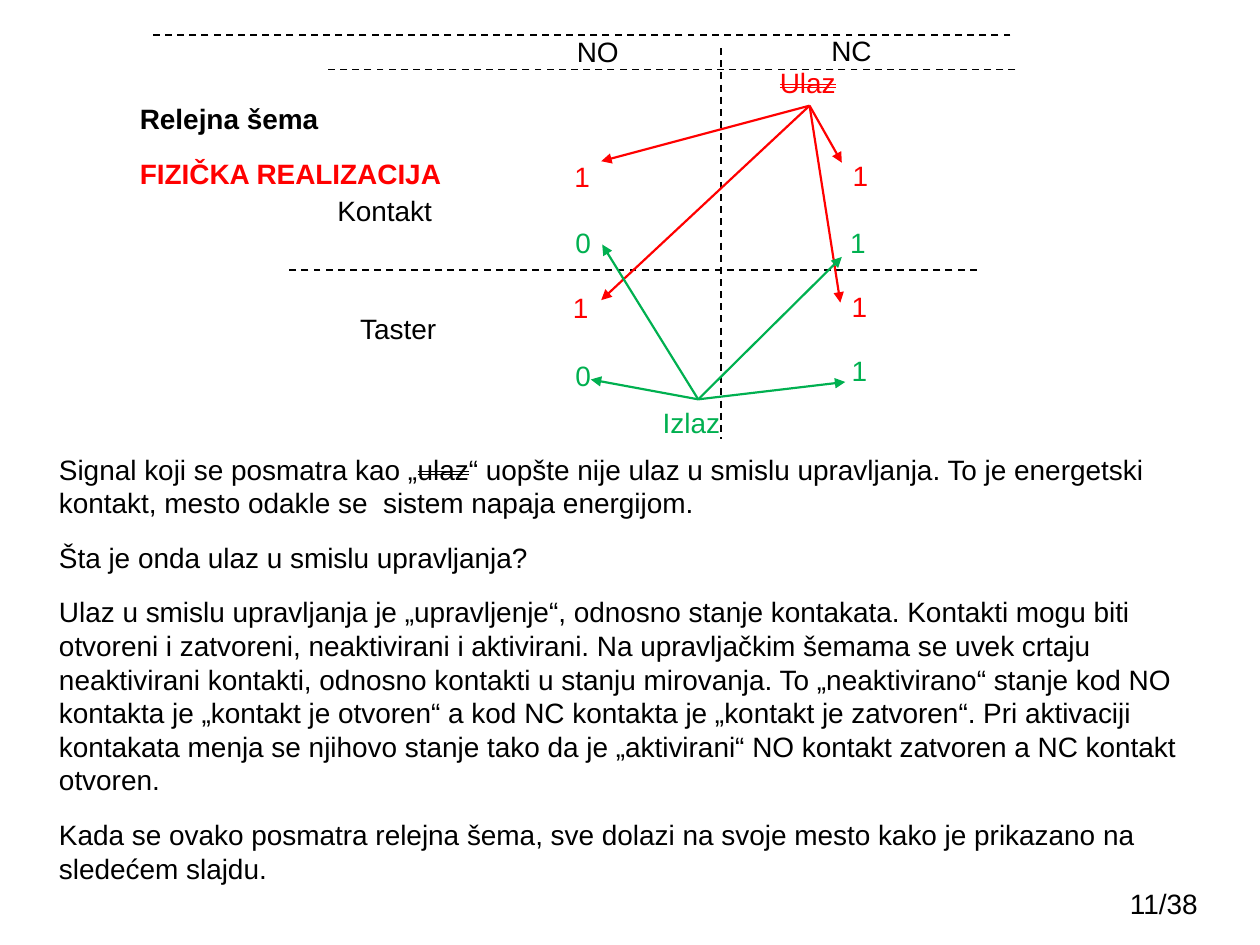
"""Build the slide on relay contacts, their inputs and their outputs."""
from lxml import etree
from pptx import Presentation
from pptx import util as u
from pptx.dml.color import RGBColor
from pptx.enum import dml, shapes, text
from pptx.oxml.ns import qn

THEME = {
    "font": "Arial", "size": 16, "gap": 6, "rule": 1, "arrow": 1.25,
    "black": "000000", "red": "FF0000", "green": "00B050",
}
LABEL_HEIGHT = 0.94
PLAIN, BOLD, STRUCK = {}, {"bold": True}, {"strike": True}

HEADINGS = [
    [("Relejna šema", "black", BOLD)],
    [("FIZIČKA REALIZACIJA", "red", BOLD)],
]
LABELS = [
    ("NO", 11.38, 0.58, 1.37),
    ("NC", 16.51, 0.56, 1.32),
    ("Kontakt", 6.55, 3.78, 2.44),
    ("Taster", 7.01, 6.15, 2.06),
]
RULES = [
    (14.53, 0.97, 14.53, 8.84),
    (20.37, 0.71, 3.02, 0.71),
    (20.47, 1.4, 6.6, 1.4),
    (19.69, 5.44, 5.82, 5.44),
]
SIGNALS = [
    {
        "name": "Ulaz", "format": STRUCK, "color": "red",
        "place": (15.47, 1.19, 1.7), "side": 2, "digit_width": 0.76,
        "targets": [(12.12, 3.25), (12.12, 6.05), (16.97, 3.28), (16.94, 6.1)],
        "digits": [("1", 11.33, 3.1), ("1", 16.94, 3.07),
                   ("1", 16.92, 5.72), ("1", 11.3, 5.74)],
    },
    {
        "name": "Izlaz", "format": PLAIN, "color": "green",
        "place": (13.11, 8.05, 1.93), "side": 0, "digit_width": 0.86,
        "targets": [(16.97, 5.18), (17.04, 7.7), (11.91, 7.65), (12.14, 4.93)],
        "digits": [("1", 16.89, 4.42), ("1", 16.92, 7.01),
                   ("0", 11.35, 7.11), ("0", 11.35, 4.42)],
    },
]
BODY = [
    [
        ("Signal koji se posmatra kao „", "black", PLAIN),
        ("ulaz", "black", STRUCK),
        ("“ uopšte nije ulaz u smislu upravljanja. To je energetski kontakt, "
         "mesto odakle se  sistem napaja energijom.", "black", PLAIN),
    ],
    [("Šta je onda ulaz u smislu upravljanja?", "black", PLAIN)],
    [("Ulaz u smislu upravljanja je „upravljenje“, odnosno stanje kontakata. "
      "Kontakti mogu biti otvoreni i zatvoreni, neaktivirani i aktivirani. "
      "Na upravljačkim šemama se uvek crtaju neaktivirani kontakti, odnosno "
      "kontakti u stanju mirovanja. To „neaktivirano“ stanje kod NO kontakta "
      "je „kontakt je otvoren“ a kod NC kontakta je „kontakt je zatvoren“. "
      "Pri aktivaciji kontakata menja se njihovo stanje tako da je "
      "„aktivirani“ NO kontakt zatvoren a NC kontakt otvoren.",
      "black", PLAIN)],
    [("Kada se ovako posmatra relejna šema, sve dolazi na svoje mesto kako je "
      "prikazano na sledećem slajdu.", "black", PLAIN)],
]
PAGE_NUMBER = ("11/38", 22.53, 17.75, 2.26)


def apply(target, values):
    for name, value in values.items():
        setattr(target, name, value)


def add_text(slide, paragraphs, left, top, width, height=LABEL_HEIGHT, wrap=True):
    shape = slide.shapes.add_textbox(*map(u.Cm, (left, top, width, height)))
    frame = shape.text_frame
    apply(frame, {"word_wrap": wrap,
                  "auto_size": text.MSO_AUTO_SIZE.SHAPE_TO_FIT_TEXT})
    for index, runs in enumerate(paragraphs):
        paragraph = frame.add_paragraph() if index else frame.paragraphs[0]
        apply(paragraph, {"space_before": u.Pt(THEME["gap"] if index else 0),
                          "space_after": u.Pt(THEME["gap"])})
        for words, color, style in runs:
            run = paragraph.add_run()
            run.text = words
            apply(run.font, {"name": THEME["font"], "size": u.Pt(THEME["size"]),
                             "bold": style.get("bold", False)})
            run.font.color.rgb = RGBColor.from_string(THEME[color])
            if style.get("strike"):
                run.font._element.set("strike", "dblStrike")
    return shape


def add_label(slide, words, left, top, width, color="black", style=PLAIN, wrap=True):
    return add_text(slide, [[(words, color, style)]], left, top, width, wrap=wrap)


def add_line(slide, ends, color, width):
    line = slide.shapes.add_connector(
        shapes.MSO_CONNECTOR.STRAIGHT, *map(u.Cm, ends))
    line.line.width = u.Pt(width)
    line.line.color.rgb = RGBColor.from_string(THEME[color])
    etree.SubElement(line._element.spPr, qn("a:effectLst"))
    return line


def add_signal(slide, signal):
    color = signal["color"]
    source = add_label(slide, signal["name"], *signal["place"], color,
                       signal["format"])
    for target in signal["targets"]:
        arrow = add_line(slide, (*signal["place"][:2], *target), color,
                         THEME["arrow"])
        arrow.begin_connect(source, signal["side"])
        etree.SubElement(arrow.line._get_or_add_ln(), qn("a:tailEnd"),
                         type="triangle")
    for digit, left, top in signal["digits"]:
        add_label(slide, digit, left, top, signal["digit_width"], color)


def main():
    presentation = Presentation()
    apply(presentation, {"slide_width": u.Cm(25.4), "slide_height": u.Cm(19.05)})
    slide = presentation.slides.add_slide(presentation.slide_layouts[6])
    add_text(slide, HEADINGS, 2.57, 1.93, 6.65, 2.06, wrap=False)
    for label in LABELS:
        add_label(slide, *label, wrap=False)
    for ends in RULES:
        rule = add_line(slide, ends, "black", THEME["rule"])
        rule.line.dash_style = dml.MSO_LINE.DASH
    for signal in SIGNALS:
        add_signal(slide, signal)
    add_text(slide, BODY, 0.94, 8.99, 23.67, 9.07)
    add_label(slide, *PAGE_NUMBER)
    presentation.save("out.pptx")


if __name__ == "__main__":
    main()
